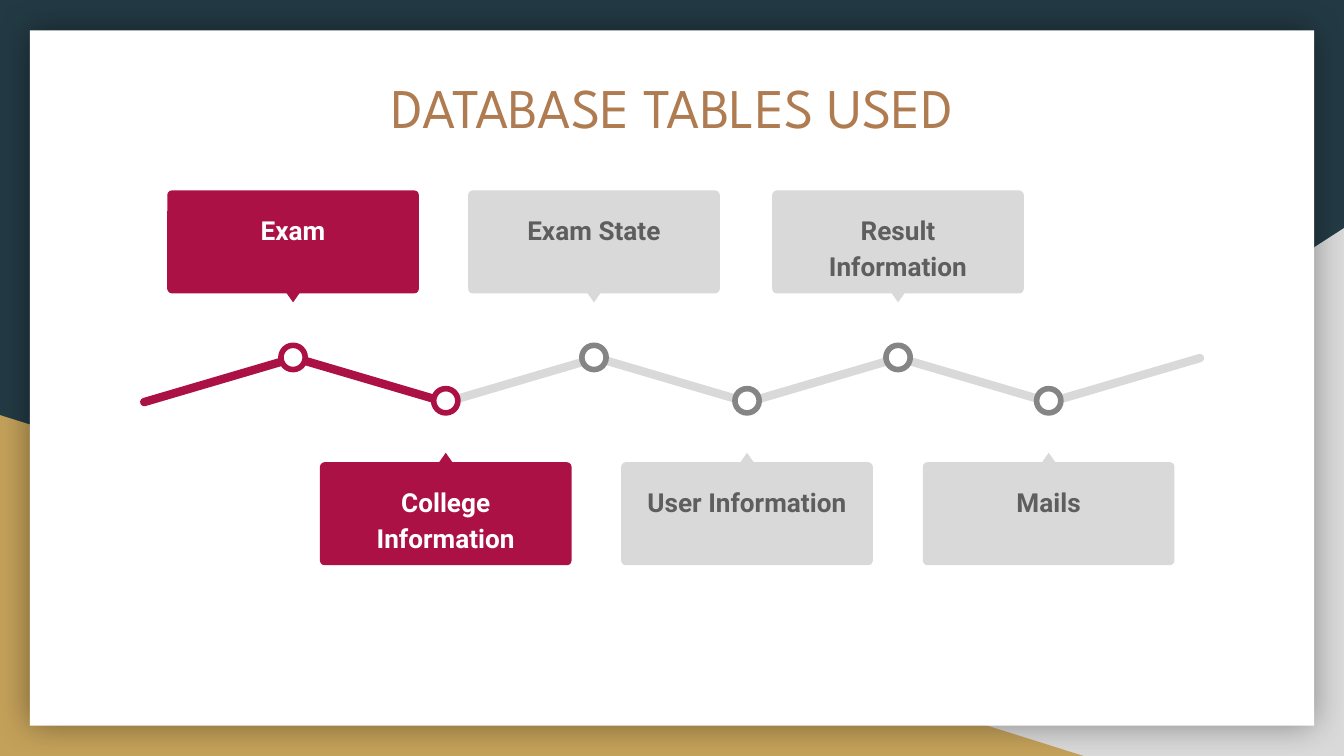
"""Build a zigzag timeline slide of the database tables used."""
import pptx
import pptx.dml.color
import pptx.enum.shapes
import pptx.enum.text
import pptx.oxml
import pptx.oxml.ns
import pptx.util

Pt = pptx.util.Pt
Kind = pptx.enum.shapes.MSO_SHAPE

NAVY, GOLD, BROWN, WHITE = "233A44", "C4A15A", "AF7B51", "FFFFFF"
RED, PALE, GRAY, DARK = "AC1145", "D9D9D9", "858585", "5E5E5E"

TITLE = "DATABASE TABLES USED"
STEPS = [
    ("Exam", 157),
    ("College Information", 238.8),
    ("Exam State", 318.2),
    ("User Information", 400.2),
    ("Result Information", 481.1),
    ("Mails", 561.8),
]
DONE = 2

CARD_W, CARD_H = 134.8, 55.2
TEXT_W, TEXT_H = 128, 49
TIP_W, TIP_H = 7, 5
DOT = 13
BAR_W, BAR_H, BAR_X, BAR_Y = 88, 4.5, 117.4, 203.6
GAP, TILT = 80.9, 16.4
HIGH = {"card": 102, "tip": 157, "dot": 185, "turn": 180}
LOW = {"card": 247.6, "tip": 242.6, "dot": 208.2, "turn": 0}

SHADOW = (
    f'<a:effectLst {pptx.oxml.ns.nsdecls("a")}>'
    '<a:outerShdw blurRad="228600" dist="0" dir="0" algn="ctr" rotWithShape="0">'
    '<a:srgbClr val="000000"><a:alpha val="40000"/></a:srgbClr>'
    "</a:outerShdw></a:effectLst>"
)


def rgb(code):
    return pptx.dml.color.RGBColor.from_string(code)


def draw(home, kind, box, fill, turn=0, round_by=None, edge=None):
    shape = home.add_shape(kind, *map(Pt, box))
    shape.shadow.inherit = False
    shape.fill.solid()
    shape.fill.fore_color.rgb = rgb(fill)
    if edge:
        shape.line.color.rgb = rgb(edge)
        shape.line.width = Pt(3)
    else:
        shape.line.fill.background()
    shape.rotation = turn
    if round_by is not None:
        shape.adjustments[0] = round_by
    return shape


def write(home, box, text, font, size, color, bold=False):
    frame = home.add_textbox(*map(Pt, box)).text_frame
    frame.word_wrap = True
    frame.margin_left = frame.margin_right = Pt(7.2)
    frame.margin_top = frame.margin_bottom = Pt(7.2)
    para = frame.paragraphs[0]
    para.text = text
    para.alignment = pptx.enum.text.PP_ALIGN.CENTER
    para.font.name = font
    para.font.size = Pt(size)
    para.font.bold = bold
    para.font.color.rgb = rgb(color)
    return para


def add_back(slide):
    slide.background.fill.solid()
    slide.background.fill.fore_color.rgb = rgb(NAVY)
    side = draw(slide.shapes, Kind.RIGHT_TRIANGLE, (282.2, 122.2, 437.8, 282.8), PALE)
    side.element.spPr.xfrm.set("flipH", "1")
    draw(slide.shapes, Kind.RIGHT_TRIANGLE, (0, 222.4, 580.5, 182.6), GOLD)
    page = draw(slide.shapes, Kind.RECTANGLE, (16, 16.2, 688, 372.6), WHITE)
    props = page.element.spPr
    props.remove(props.find(pptx.oxml.ns.qn("a:effectLst")))
    props.append(pptx.oxml.parse_xml(SHADOW))


def add_bars(slide):
    for i in reversed(range(len(STEPS) + 1)):
        box = (BAR_X + i * GAP - BAR_W / 2, BAR_Y - BAR_H / 2, BAR_W, BAR_H)
        turn = TILT if i % 2 else -TILT
        draw(slide.shapes, Kind.ROUNDED_RECTANGLE, box,
             RED if i < DONE else PALE, turn, 0.5)


def add_step(slide, i, name, mid):
    row = LOW if i % 2 else HIGH
    fill, edge, ink = (RED, RED, WHITE) if i < DONE else (PALE, GRAY, DARK)
    home = slide.shapes.add_group_shape().shapes
    draw(home, Kind.OVAL, (mid - DOT / 2, row["dot"], DOT, DOT), WHITE, edge=edge)
    draw(home, Kind.ROUNDED_RECTANGLE,
         (mid - CARD_W / 2, row["card"], CARD_W, CARD_H), fill, round_by=0.045)
    draw(home, Kind.ISOSCELES_TRIANGLE,
         (mid - TIP_W / 2, row["tip"], TIP_W, TIP_H), fill, row["turn"])
    top = row["card"] + (CARD_H - TEXT_H) / 2
    para = write(home, (mid - TEXT_W / 2, top, TEXT_W, TEXT_H),
                 name, "Roboto", 14, ink, True)
    para.line_spacing = 1.15
    para.space_after = Pt(16)


def main():
    deck = pptx.Presentation()
    deck.slide_width, deck.slide_height = Pt(720), Pt(405)
    slide = deck.slides.add_slide(deck.slide_layouts[6])
    add_back(slide)
    write(slide.shapes, (64.8, 31.7, 591, 75), TITLE, "League Spartan", 30, BROWN)
    add_bars(slide)
    for i, (name, mid) in enumerate(STEPS):
        add_step(slide, i, name, mid)
    deck.save("out.pptx")


if __name__ == "__main__":
    main()
